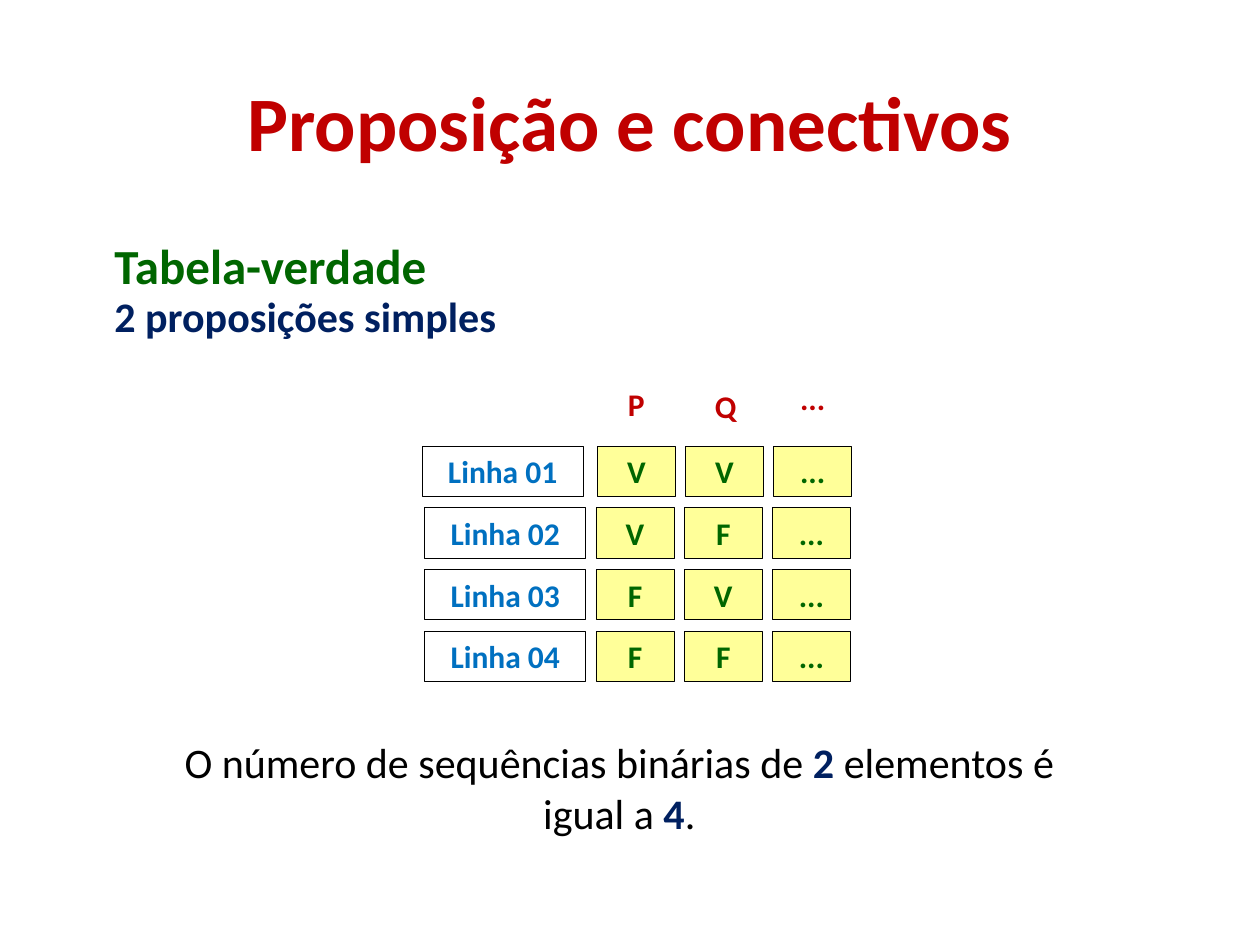
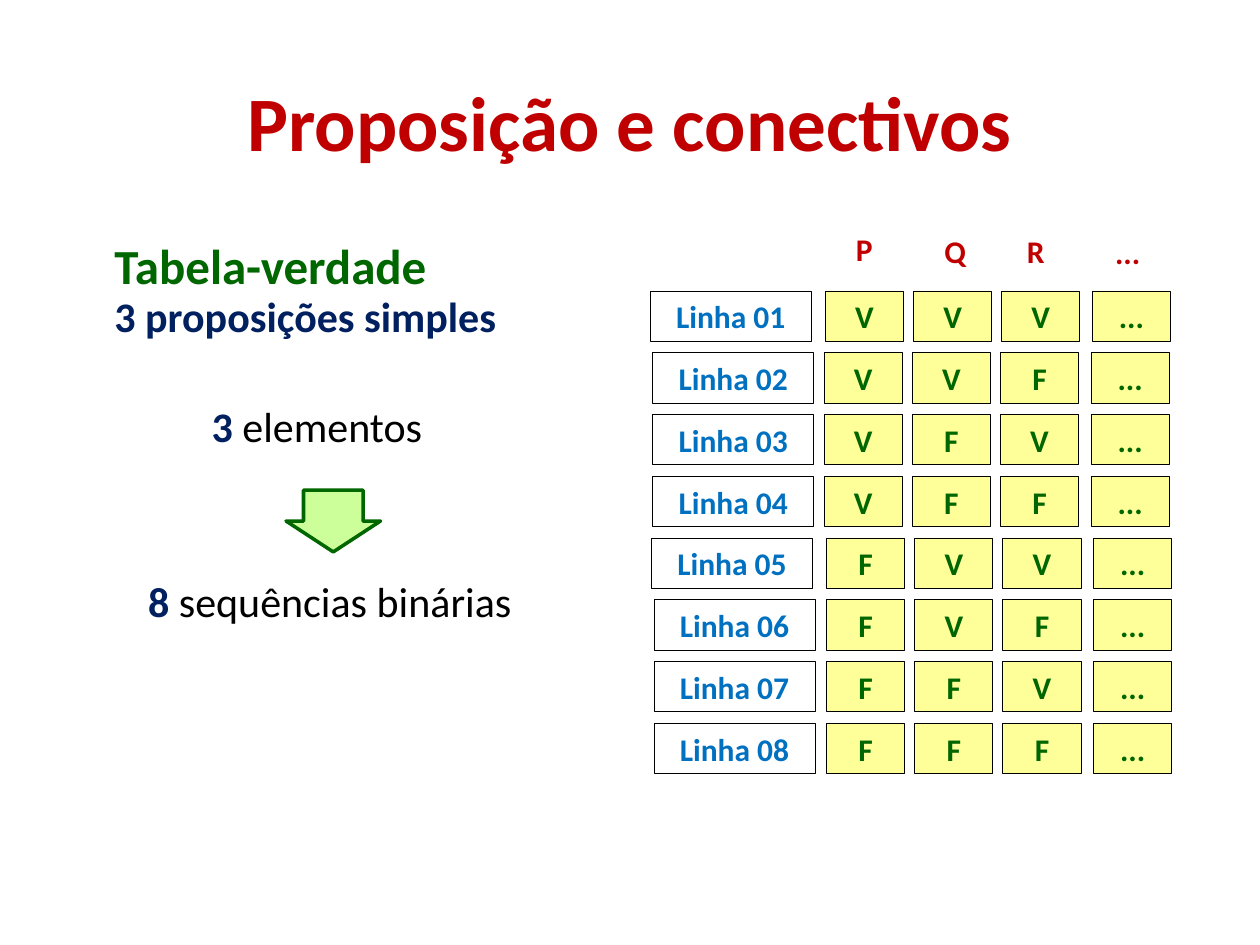
import itertools
from dataclasses import dataclass

import pptx
import pptx.dml.color
import pptx.enum.shapes
import pptx.enum.text
import pptx.util

Inches = pptx.util.Inches
Pt = pptx.util.Pt
RGB = pptx.dml.color.RGBColor.from_string
MSO_SHAPE = pptx.enum.shapes.MSO_SHAPE
MSO_ANCHOR = pptx.enum.text.MSO_ANCHOR
PP_ALIGN = pptx.enum.text.PP_ALIGN


@dataclass(frozen=True)
class Theme:
    font: str = "Calibri"
    red: str = "C00000"
    green: str = "006600"
    navy: str = "002060"
    blue: str = "0070C0"
    black: str = "000000"
    yellow: str = "FFFF99"
    lime: str = "CCFF99"
    title_size: int = 44
    heading_size: int = 28
    body_size: int = 24
    cell_size: int = 18


THEME = Theme()
ROW_PITCH = 0.49
CELL_HEIGHT = 0.4
CELL_WIDTH = 0.62
LABEL_WIDTH = 1.28


@dataclass(frozen=True)
class Box:
    left: float
    top: float
    width: float
    height: float

    def lengths(self) -> tuple:
        return tuple(Inches(v) for v in (self.left, self.top, self.width, self.height))


@dataclass(frozen=True)
class Style:
    size: int
    color: str
    bold: bool = True
    align: PP_ALIGN = PP_ALIGN.CENTER


@dataclass(frozen=True)
class Header:
    text: str
    left: float
    top: float
    width: float


@dataclass(frozen=True)
class TruthTable:
    variables: int
    top: float
    column_lefts: tuple[float, ...]
    row_shifts: tuple[float, ...]
    label_lefts: tuple[float, ...]
    headers: tuple[Header, ...]


TITLE = Style(THEME.title_size, THEME.red)
HEADING = Style(THEME.heading_size, THEME.green, align=PP_ALIGN.LEFT)
SUBHEADING = Style(THEME.body_size, THEME.navy, align=PP_ALIGN.LEFT)
BODY = Style(THEME.body_size, THEME.black, bold=False)
HEADER = Style(THEME.cell_size, THEME.red)
LABEL = Style(THEME.cell_size, THEME.blue)
VALUE = Style(THEME.cell_size, THEME.green)

TWO_VARIABLES = TruthTable(
    variables=2,
    top=3.54,
    column_lefts=(4.74, 5.44, 6.14),
    row_shifts=(0,) + (-0.01,) * 3,
    label_lefts=(3.35,) + (3.37,) * 3,
    headers=(
        Header("P", 4.88, 3.01, 0.34),
        Header("Q", 5.57, 3.02, 0.38),
        Header("...", 6.25, 2.96, 0.4),
    ),
)
THREE_VARIABLES = TruthTable(
    variables=3,
    top=2.31,
    column_lefts=(6.55, 7.25, 7.95, 8.67),
    row_shifts=(0,) + (-0.01,) * 3 + (0.01,) * 4,
    label_lefts=(5.16,) + (5.18,) * 3 + (5.17,) + (5.19,) * 3,
    headers=(
        Header("P", 6.69, 1.78, 0.34),
        Header("Q", 7.39, 1.79, 0.38),
        Header("R", 8.05, 1.79, 0.34),
        Header("...", 8.75, 1.8, 0.4),
    ),
)


def style_paragraph(p, style: Style) -> None:
    p.alignment = style.align
    p.font.name = THEME.font
    p.font.size = Pt(style.size)
    p.font.bold = style.bold
    p.font.color.rgb = RGB(style.color)


def add_text(slide, box: Box, text: str, style: Style, wrap: bool = True):
    tf = slide.shapes.add_textbox(*box.lengths()).text_frame
    tf.word_wrap = wrap
    p = tf.paragraphs[0]
    p.text = text
    style_paragraph(p, style)


def add_statement(slide, box: Box, *parts: tuple[str, bool]) -> None:
    tf = slide.shapes.add_textbox(*box.lengths()).text_frame
    tf.word_wrap = True
    p = tf.paragraphs[0]
    style_paragraph(p, BODY)
    for text, is_number in parts:
        r = p.add_run()
        r.text = text
        if is_number:
            r.font.bold = True
            r.font.color.rgb = RGB(THEME.navy)


def add_shape(slide, kind: MSO_SHAPE, box: Box, fill: str | None, line: str, weight: float):
    sp = slide.shapes.add_shape(kind, *box.lengths())
    sp.shadow.inherit = False
    if fill:
        sp.fill.solid()
        sp.fill.fore_color.rgb = RGB(fill)
    else:
        sp.fill.background()
    sp.line.color.rgb = RGB(line)
    sp.line.width = Pt(weight)
    return sp


def add_cell(slide, box: Box, text: str, style: Style, fill: str | None = None) -> None:
    sp = add_shape(slide, MSO_SHAPE.RECTANGLE, box, fill, THEME.black, 0.5)
    tf = sp.text_frame
    tf.word_wrap = True
    tf.vertical_anchor = MSO_ANCHOR.MIDDLE
    p = tf.paragraphs[0]
    p.text = text
    style_paragraph(p, style)


def add_truth_table(slide, table: TruthTable) -> None:
    for h in table.headers:
        add_text(slide, Box(h.left, h.top, h.width, CELL_HEIGHT), h.text, HEADER, wrap=False)
    for i, values in enumerate(itertools.product("VF", repeat=table.variables)):
        top = table.top + i * ROW_PITCH
        label_box = Box(table.label_lefts[i], top, LABEL_WIDTH, CELL_HEIGHT)
        add_cell(slide, label_box, f"Linha {i + 1:02d}", LABEL)
        for left, value in zip(table.column_lefts, (*values, "...")):
            box = Box(left + table.row_shifts[i], top, CELL_WIDTH, CELL_HEIGHT)
            add_cell(slide, box, value, VALUE, THEME.yellow)


def add_truth_slide(prs, table: TruthTable):
    slide = prs.slides.add_slide(prs.slide_layouts[6])
    add_text(slide, Box(0.5, 0.54, 9, 1.01), "Proposição e conectivos", TITLE)
    add_text(slide, Box(0.81, 1.82, 5.21, 0.61), "Tabela-verdade", HEADING)
    subheading = f"{table.variables} proposições simples"
    add_text(slide, Box(0.81, 2.26, 3.41, 0.57), subheading, SUBHEADING)
    add_truth_table(slide, table)
    return slide


def main() -> None:
    prs = pptx.Presentation()
    prs.slide_width = Inches(10)
    prs.slide_height = Inches(7.5)

    slide = add_truth_slide(prs, TWO_VARIABLES)
    add_statement(
        slide,
        Box(1.13, 5.8, 7.57, 0.57),
        ("O número de sequências binárias de ", False),
        ("2 ", True),
        ("elementos é igual a ", False),
        ("4", True),
        (".", False),
    )

    slide = add_truth_slide(prs, THREE_VARIABLES)
    add_statement(slide, Box(1.29, 3.13, 2.45, 0.57), ("3 ", True), ("elementos", False))
    arrow_box = Box(2.27, 3.89, 0.75, 0.49)
    arrow = add_shape(slide, MSO_SHAPE.DOWN_ARROW, arrow_box, THEME.lime, THEME.green, 2)
    arrow.adjustments[0] = 0.63
    arrow.adjustments[1] = 0.5
    add_statement(
        slide, Box(0.97, 4.52, 3.37, 0.57), ("8 ", True), ("sequências binárias ", False)
    )

    prs.save("out.pptx")


if __name__ == "__main__":
    main()
